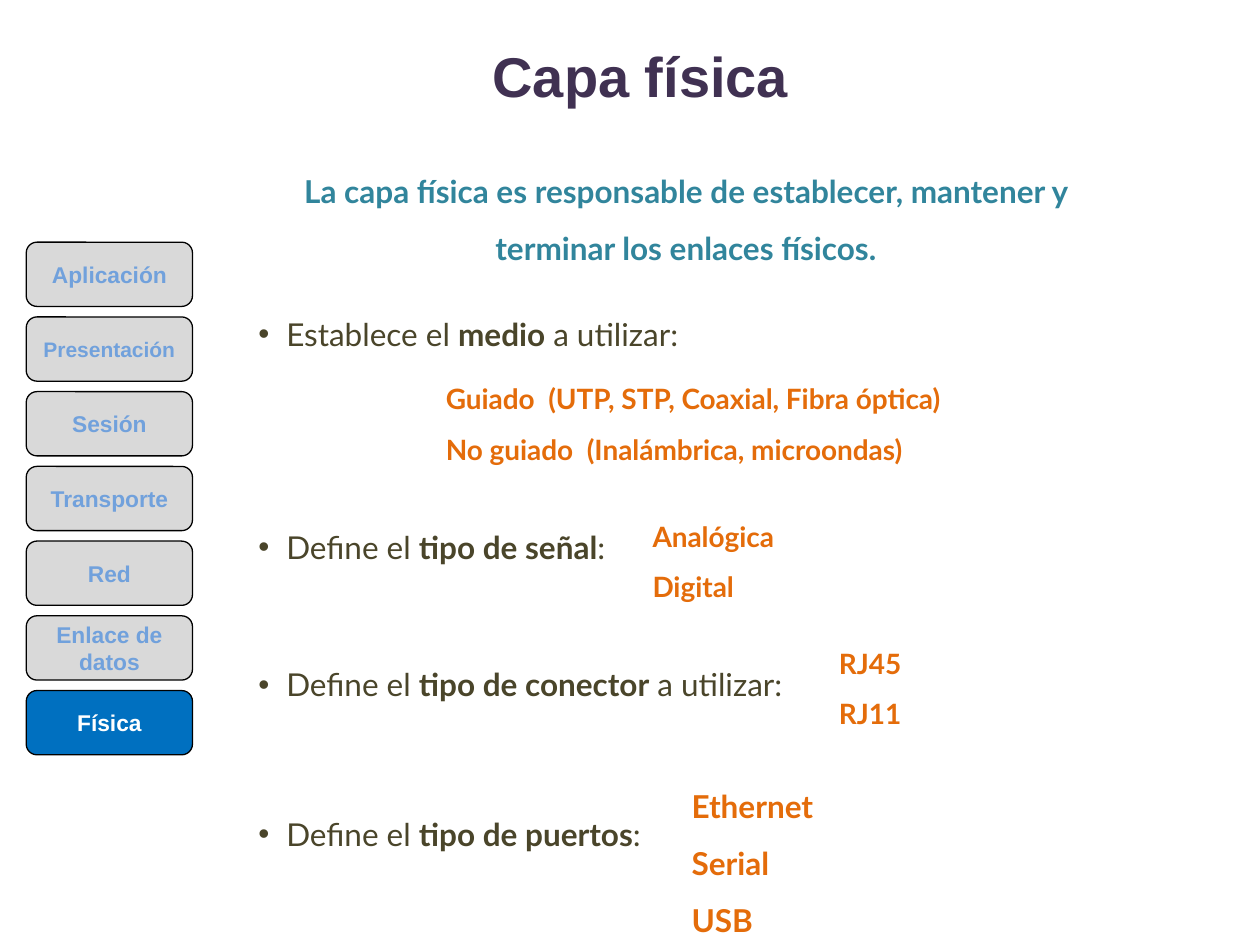
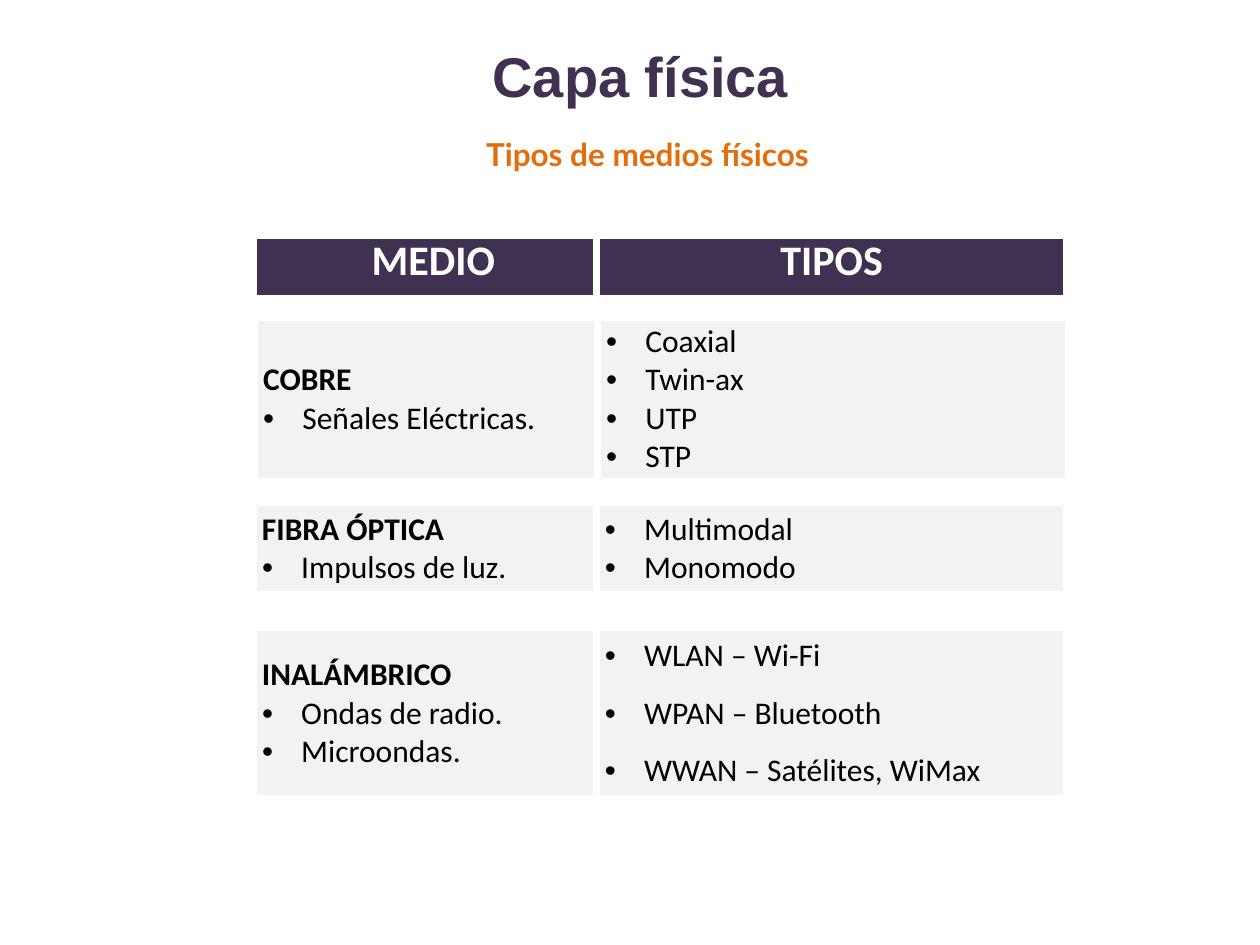
from lxml import etree
from pptx import Presentation
from pptx.dml.color import RGBColor
from pptx.enum.shapes import MSO_SHAPE as SHAPE
from pptx.enum.text import MSO_ANCHOR as ANCHOR, MSO_AUTO_SIZE as AUTO, PP_ALIGN as ALIGN
from pptx.oxml.ns import qn
from pptx.util import Pt

PURPLE, ORANGE, TEAL, BROWN = "403152", "E46C0A", "31859C", "4A452A"
WHITE, BLACK, PALE, GREY = "FFFFFF", "000000", "F2F2F2", "D9D9D9"
BLUE, SOFT_BLUE = "0070C0", "71A1DC"
CENTER = ALIGN.CENTER
rgb = RGBColor.from_string


def write(tf, text, color, size, name="Lato", margin=0, hang=0, **fmt):
    """Add a paragraph; *stars* mark bold runs, and a hang gives it a bullet."""
    p = tf.paragraphs[0]
    if p.runs:
        p = tf.add_paragraph()
    for key, value in fmt.items():
        setattr(p, key, value)
    pPr = p._p.get_or_add_pPr()
    pPr.set("marL", str(Pt(margin)))
    pPr.set("indent", str(Pt(-hang)))
    if hang:
        etree.SubElement(pPr, qn("a:buFont")).set("typeface", "Arial")
        etree.SubElement(pPr, qn("a:buChar")).set("char", "•")
    for i, part in enumerate(text.split("*")):
        if part:
            r = p.add_run()
            r.text = part
            for key, value in dict(name=name, size=Pt(size), bold=i % 2 == 1).items():
                setattr(r.font, key, value)
            r.font.color.rgb = rgb(color)


def add_text(s, x, y, w, h, lines, color, size, **fmt):
    tf = s.shapes.add_textbox(Pt(x), Pt(y), Pt(w), Pt(h)).text_frame
    tf.word_wrap = True
    for line in lines:
        write(tf, line, color, size, line_spacing=1.5, **fmt)


prs = Presentation()
prs.slide_width, prs.slide_height = Pt(720), Pt(540)

# Both slides: the same title
slides = [prs.slides.add_slide(prs.slide_layouts[n]) for n in (1, 5)]
for s in slides:
    title = s.shapes.title
    title.left, title.top, title.width, title.height = Pt(13), Pt(-2), Pt(706), Pt(90)
    title.text_frame.vertical_anchor = ANCHOR.MIDDLE
    write(title.text_frame, "*Capa física*", PURPLE, 32, "Arial", alignment=CENTER)

# Slide 1: layer stack, with the physical layer highlighted
s = slides[0]
layers = ["Aplicación", "Presentación", "Sesión", "Transporte", "Red",
          "Enlace de datos", "Física"]
for i, layer in enumerate(layers):
    active = layer == "Física"
    sp = s.shapes.add_shape(SHAPE.ROUNDED_RECTANGLE, Pt(15), Pt(138.4 + 42.7 * i),
                            Pt(95), Pt(36.7))
    sp.shadow.inherit = False
    sp.fill.solid()
    sp.fill.fore_color.rgb = rgb(BLUE if active else GREY)
    sp.line.color.rgb = rgb(BLACK)
    sp.line.width = Pt(0.75)
    sp.text_frame.vertical_anchor = ANCHOR.MIDDLE
    write(sp.text_frame, f"*{layer}*", WHITE if active else SOFT_BLUE,
          12 if layer == "Presentación" else 13, "Arial", alignment=CENTER)

add_text(s, 133, 84, 518, 73,
         ["*La capa física es responsable de establecer, mantener y "
          "terminar los enlaces físicos.*"], TEAL, 18, alignment=CENTER)

# Functions of the layer, each with the top of its line
functions = [
    (165.6, "Establece el *medio* a utilizar:"),
    (287.3, "Define el *tipo de señal*:"),
    (365.8, "Define el *tipo de conector* a utilizar:"),
    (451.4, "Define el *tipo de puertos*:"),
]
LINE_HEIGHT = 32.4
body = s.placeholders[1]
body.left, body.top, body.width, body.height = Pt(140.4), Pt(165.6), Pt(518), Pt(322)
tf = body.text_frame
tf.auto_size = AUTO.NONE
bottom = functions[0][0]
for top, function in functions:
    write(tf, function, BROWN, 18, margin=16, hang=16, line_spacing=1.5,
          space_before=Pt(round(top - bottom, 1)))
    bottom = top + LINE_HEIGHT

examples = [
    (247.7, 205.2, 410, 66, 16, ["*Guiado  (UTP, STP, Coaxial, Fibra óptica)*",
                                 "*No guiado  (Inalámbrica, microondas)*"]),
    (365.8, 283.7, 202, 66, 16, ["*Analógica*", "*Digital*"]),
    (472.3, 356.4, 168, 66, 16, ["*RJ45*", "*RJ11*"]),
    (388.1, 435.6, 96, 102, 18, ["*Ethernet*", "*Serial*", "*USB*"]),
]
for x, y, w, h, size, lines in examples:
    add_text(s, x, y, w, h, lines, ORANGE, size)

# Slide 2: media and their types, one table per band
s = slides[1]
add_text(s, 112, 62.6, 516, 37, ["*Tipos de medios físicos*"], ORANGE, 18, alignment=CENTER)

# left, top, height, space between types, cells; starred lines are headings
bands = [
    (144.7, 134.6, 36, 0, [["*MEDIO*"], ["*TIPOS*"]]),
    (145.4, 181.4, 93.6, 0, [["*COBRE*", "Señales Eléctricas."],
                             ["Coaxial", "Twin-ax", "UTP", "STP"]]),
    (144.7, 287.3, 52.6, 0, [["*FIBRA ÓPTICA*", "Impulsos de luz."],
                             ["Multimodal", "Monomodo"]]),
    (144.7, 358.6, 97.9, 10.8, [["*INALÁMBRICO*", "Ondas de radio.", "Microondas."],
                                ["WLAN – Wi-Fi", "WPAN – Bluetooth",
                                 "WWAN – Satélites, WiMax"]]),
]
for n, (x, y, h, gap, cells) in enumerate(bands):
    header = n == 0
    table = s.shapes.add_table(1, 2, Pt(x), Pt(y), Pt(465), Pt(h)).table
    table.first_row = table.horz_banding = False
    table.rows[0].height = Pt(h)
    for col, (width, lines) in enumerate(zip((196, 269), cells)):
        table.columns[col].width = Pt(width)
        cell = table.cell(0, col)
        for side in ("left", "right", "top", "bottom"):
            setattr(cell, f"margin_{side}", 0)
        cell.vertical_anchor = ANCHOR.TOP if header else ANCHOR.MIDDLE
        tcPr = cell._tc.get_or_add_tcPr()
        for edge in ("lnL", "lnR", "lnT", "lnB"):
            ln = etree.SubElement(tcPr, qn(f"a:{edge}"), w=str(Pt(4.5)))
            fill = etree.SubElement(ln, qn("a:solidFill"))
            etree.SubElement(fill, qn("a:srgbClr"), val=WHITE)
        cell.fill.solid()
        cell.fill.fore_color.rgb = rgb(PURPLE if header else PALE)
        for i, line in enumerate(lines):
            if header:
                fmt = dict(alignment=CENTER) if col else dict(margin=67.7)
                write(cell.text_frame, line, WHITE, 24, "Calibri", **fmt)
            elif line.startswith("*"):
                write(cell.text_frame, line, BLACK, 18, "Calibri", margin=5)
            else:
                write(cell.text_frame, line, BLACK, 18, "Calibri", margin=27.4, hang=22.4,
                      space_before=Pt(gap if col and i else 0))

prs.save("out.pptx")
